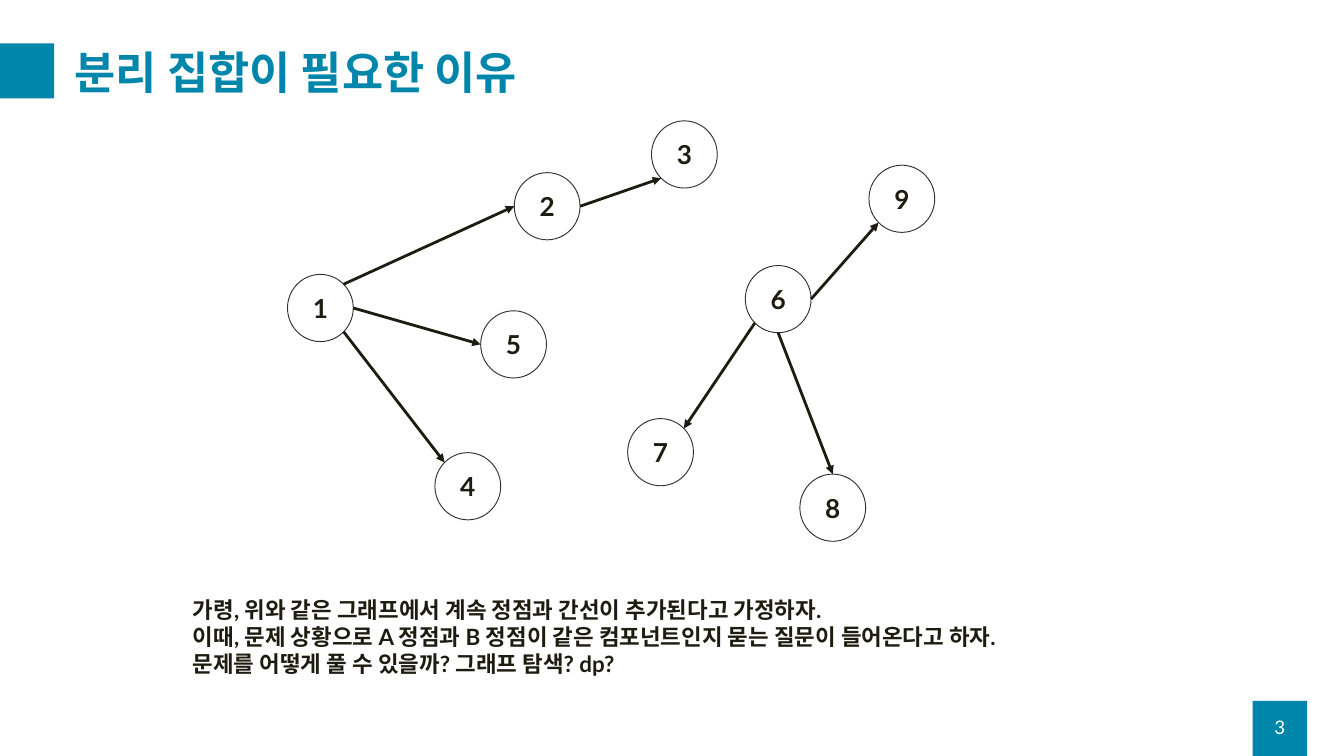
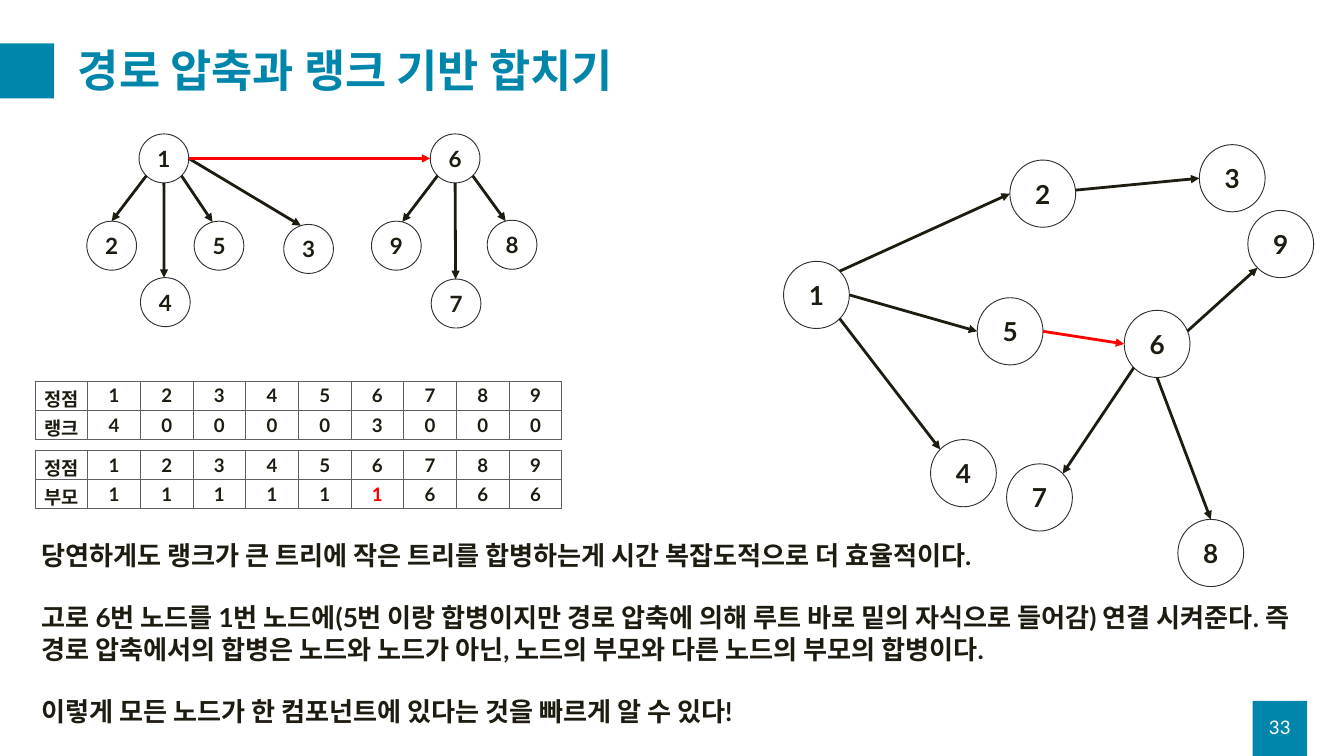
from math import cos, radians, sin

from lxml import etree
from pptx import Presentation
from pptx.dml.color import RGBColor
from pptx.enum.shapes import MSO_CONNECTOR, MSO_SHAPE
from pptx.enum.text import MSO_ANCHOR, MSO_AUTO_SIZE, PP_ALIGN
from pptx.oxml.ns import qn
from pptx.util import Pt

LEFT, MID = PP_ALIGN.LEFT, PP_ALIGN.CENTER
CENTER, TOP = MSO_ANCHOR.MIDDLE, MSO_ANCHOR.TOP
RECT, OVAL = MSO_SHAPE.RECTANGLE, MSO_SHAPE.OVAL
LINE, FIXED = MSO_CONNECTOR.STRAIGHT, MSO_AUTO_SIZE.NONE
TEAL, INK, RED, WHITE, RIM, GRID = "0086AB", "1E1C11", "FF0000", "FFFFFF", "303030", "5F5F5F"
FONT = "Lato"

BIG = dict(width=70.5, height=72, size=28)
SMALL = dict(width=53.25, height=52.5, size=24)

# Edges are (from, to, angle at from, angle at to), counterclockwise from the right.
SHARED = [(1, 2, 45, 180), (1, 5, 0, 180), (1, 4, -45, 135), (6, 7, -135, 45), (6, 8, -90, 90)]

GRAPHS = {
    "split": dict(
        kind=BIG,
        nodes={1: (308, 294), 2: (551, 185), 3: (698, 129.5), 4: (466, 485), 5: (515, 333),
               6: (798.5, 284.5), 7: (672.5, 448.5), 8: (857, 508), 9: (931, 177)},
        edges=SHARED + [(2, 3, 0, -135), (6, 9, 0, -135)],
        joins=[]),
    "joined": dict(
        kind=BIG,
        nodes={1: (839.5, 280), 2: (1082, 171.5), 3: (1285, 155), 4: (997, 471), 5: (1047, 319),
               6: (1204.5, 332.5), 7: (1078.5, 497), 8: (1262, 556.5), 9: (1337, 225.5)},
        edges=SHARED + [(2, 3, 6, 180), (6, 9, 22.5, -135)],
        joins=[(5, 6, 0, 180)]),
    "trees": dict(
        kind=SMALL,
        nodes={1: (149, 143.5), 2: (93, 237), 3: (304, 240.5), 4: (150.5, 297.5), 5: (208, 237),
               6: (461, 143.5), 7: (462, 299), 8: (522, 236), 9: (398, 237)},
        edges=[(1, 2, -135, 90), (1, 3, 0, 108), (1, 4, -90, 93), (1, 5, -45, 105),
               (6, 7, -90, 91), (6, 8, -45, 105), (6, 9, -135, 76)],
        joins=[(1, 6, 0, 180)]),
}

HEAD = ["정점", *range(1, 10)]
RANKS = ["랭크", 4, 0, 0, 0, 0, 3, 0, 0, 0]
ROOTS = ["부모", 1, 1, 1, 1, 1, 1, 6, 6, 6]

SLIDES = [
    dict(title="분리 집합이 필요한 이유", spot=(72.75, 37.5), page=3, graphs=["split"], tables=[],
         box=(199.5, 635, 1088, 94.5), size=24, gap=0,
         text=["가령, 위와 같은 그래프에서 계속 정점과 간선이 추가된다고 가정하자.",
               "이때, 문제 상황으로 A 정점과 B 정점이 같은 컴포넌트인지 묻는 질문이 들어온다고 하자.",
               "문제를 어떻게 풀 수 있을까? 그래프 탐색? dp?"]),
    dict(title="경로 압축과 랭크 기반 합치기", spot=(76.25, 36), page=33, graphs=["joined", "trees"],
         tables=[(408.25, RANKS, None), (482.5, ROOTS, 6)],
         box=(37.5, 574, 1389, 211), size=28, gap=33.6,
         text=["당연하게도 랭크가 큰 트리에 작은 트리를 합병하는게 시간 복잡도적으로 더 효율적이다.",
               "고로 6번 노드를 1번 노드에(5번 이랑 합병이지만 경로 압축에 의해 루트 바로 밑의 자식으로 "
               "들어감) 연결 시켜준다. 즉 경로 압축에서의 합병은 노드와 노드가 아닌, 노드의 부모와 "
               "다른 노드의 부모의 합병이다.",
               "이렇게 모든 노드가 한 컴포넌트에 있다는 것을 빠르게 알 수 있다!"]),
]


def rgb(code):
    """Turn a hex string into a colour."""
    return RGBColor.from_string(code)


def write(frame, lines, size, color=INK, bold=True, align=LEFT, anchor=CENTER, gap=0):
    """Fill a text frame with one paragraph per line."""
    frame.text = "\n".join(lines)
    frame.word_wrap, frame.vertical_anchor = True, anchor
    for i, para in enumerate(frame.paragraphs):
        para.alignment = align
        para.space_before = Pt(gap if i else 0)
        for run in para.runs:
            font = run.font
            font.name, font.size, font.bold = FONT, Pt(size), bold
            font.color.rgb = rgb(color)


def shape(slide, kind, box, fill, rim=None):
    """Add a flat preset shape."""
    item = slide.shapes.add_shape(kind, *map(Pt, box))
    item.shadow.inherit = False
    item.fill.solid()
    item.fill.fore_color.rgb = rgb(fill)
    if rim:
        item.line.color.rgb = rgb(rim)
        item.line.width = Pt(1)
    else:
        item.line.fill.background()
    return item


def arrow(slide, start, end, color):
    """Draw a straight arrow between two points."""
    item = slide.shapes.add_connector(LINE, *map(Pt, (*start, *end)))
    item.line.color.rgb = rgb(color)
    item.line.width = Pt(3)
    props = item._element.spPr
    etree.SubElement(props.find(qn("a:ln")), qn("a:tailEnd"), type="triangle")
    etree.SubElement(props, qn("a:effectLst"))


def graph(slide, kind, nodes, edges, joins):
    """Draw numbered nodes, their edges and the red joining edge."""
    wide, high = kind["width"], kind["height"]

    def rim(node, angle):
        """Find the point on a node's rim at an angle."""
        x, y = nodes[node]
        turn = radians(angle)
        return x + wide / 2 * (1 + cos(turn)), y + high / 2 * (1 - sin(turn))

    for node, spot in nodes.items():
        item = shape(slide, OVAL, (*spot, wide, high), WHITE, RIM)
        write(item.text_frame, [str(node)], kind["size"], align=MID)
    for group, color in ((edges, INK), (joins, RED)):
        for a, b, out, into in group:
            arrow(slide, rim(a, out), rim(b, into), color)


def border(cell):
    """Give a cell thin grey sides."""
    props = cell._tc.get_or_add_tcPr()
    for side in ("lnL", "lnR", "lnT", "lnB"):
        line = etree.SubElement(props, qn(f"a:{side}"), w=str(Pt(1)))
        fill = etree.SubElement(line, qn("a:solidFill"))
        etree.SubElement(fill, qn("a:srgbClr"), val=GRID)


def grid(slide, top, values, hot):
    """Add a table of nodes and values, with one value in red."""
    rows = [HEAD, values]
    box = map(Pt, (37.5, top, 564.5, 62.4))
    table = slide.shapes.add_table(len(rows), len(HEAD), *box).table
    table.first_row = table.horz_banding = False
    for r, row in enumerate(rows):
        for c, value in enumerate(row):
            cell = table.cell(r, c)
            color = RED if r and c == hot else INK
            write(cell.text_frame, [str(value)], 20, color, align=MID, anchor=TOP)
            border(cell)
            cell.fill.background()


def label(slide, box, lines, size, **style):
    """Add a text box."""
    item = slide.shapes.add_textbox(*map(Pt, box))
    write(item.text_frame, lines, size, **style)


def frame(slide, title, spot, page):
    """Add the bands, title and page number."""
    shape(slide, RECT, (1342, 751, 58.5, 59), TEAL)
    shape(slide, RECT, (-0.5, 46.5, 58.5, 59), TEAL)
    head = slide.shapes.title
    head.left, head.top, head.width, head.height = map(Pt, (*spot, 1314, 85))
    write(head.text_frame, [title], 48, TEAL)
    head.text_frame.auto_size = FIXED
    head.text_frame.paragraphs[0].line_spacing = 0.9
    label(slide, (1342, 757.5, 58.5, 43), [str(page)], 20, color=WHITE, bold=False, align=MID)


def main():
    """Build the deck."""
    deck = Presentation()
    deck.slide_width, deck.slide_height = Pt(1440), Pt(810)
    for part in SLIDES:
        slide = deck.slides.add_slide(deck.slide_layouts[5])
        frame(slide, part["title"], part["spot"], part["page"])
        label(slide, part["box"], part["text"], part["size"], anchor=TOP, gap=part["gap"])
        for name in part["graphs"]:
            graph(slide, **GRAPHS[name])
        for top, values, hot in part["tables"]:
            grid(slide, top, values, hot)
    deck.save("out.pptx")


if __name__ == "__main__":
    main()
